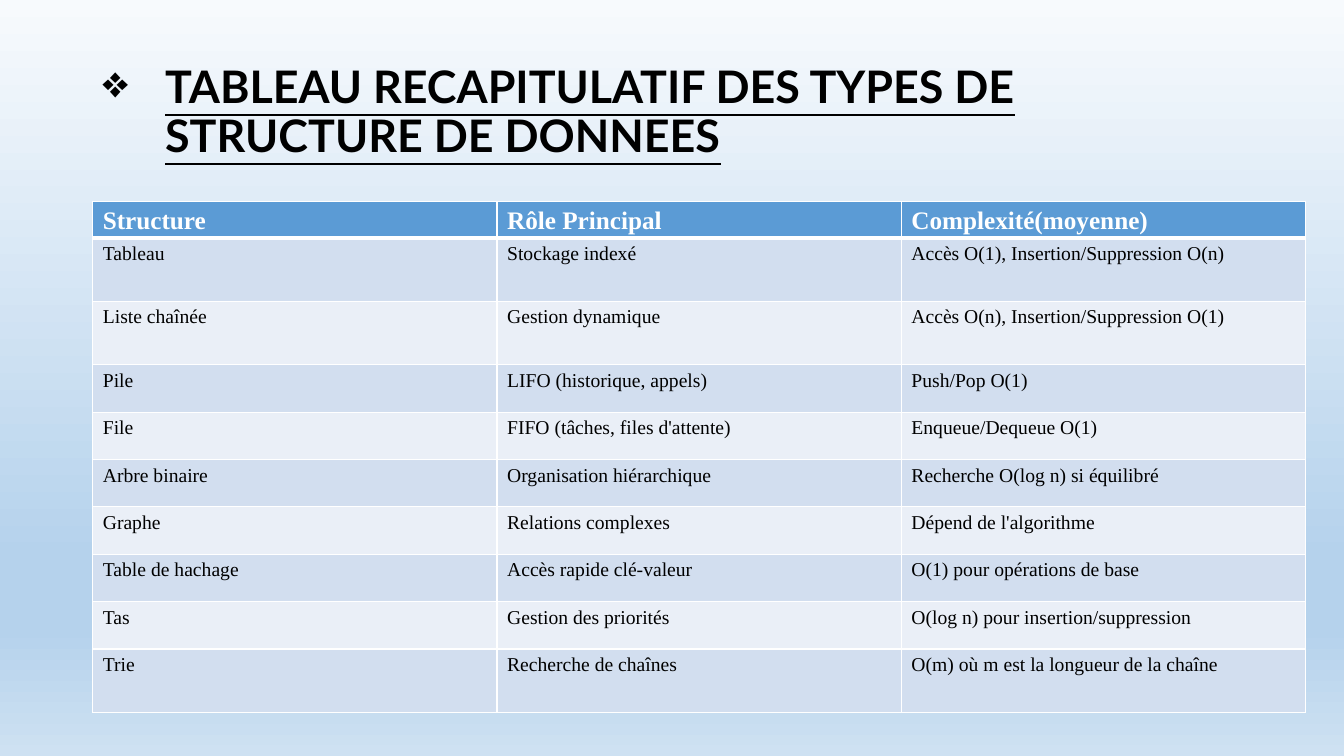
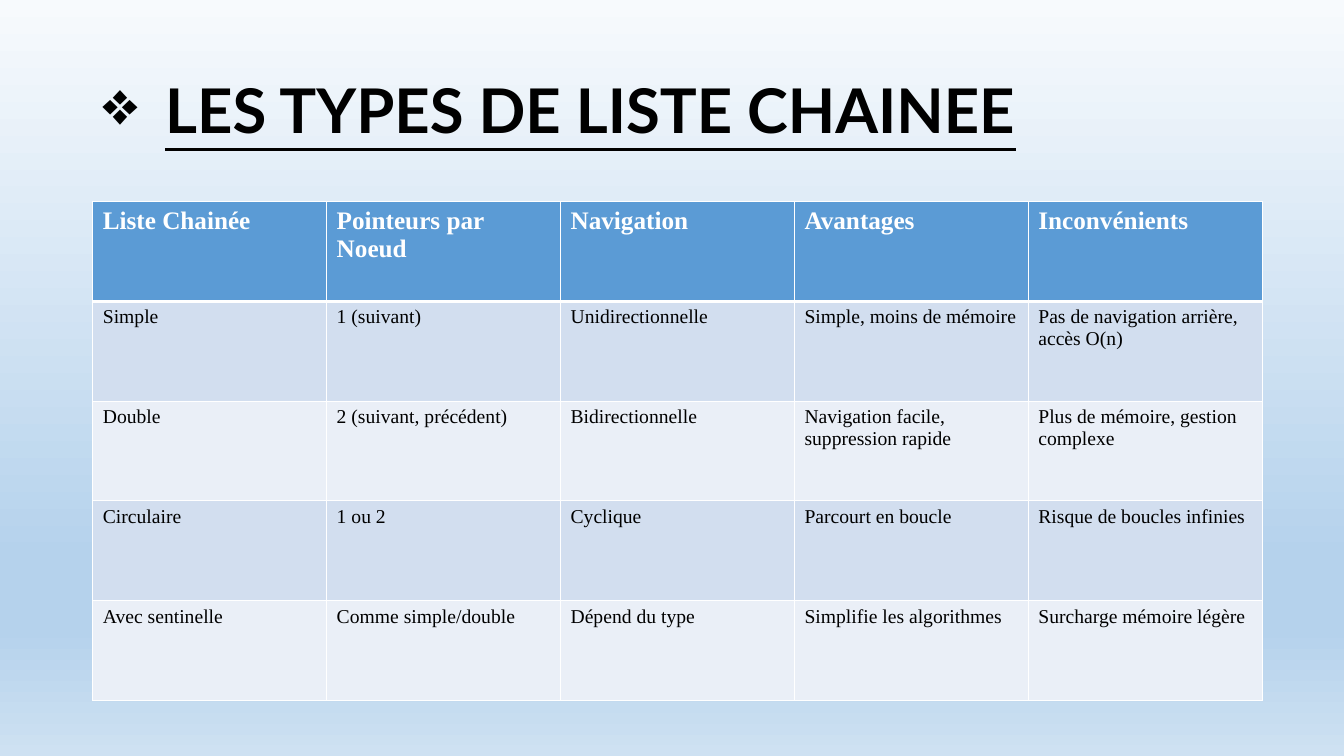
from dataclasses import dataclass

from lxml import etree
from pptx import Presentation
from pptx.dml.color import RGBColor
from pptx.enum.text import MSO_ANCHOR
from pptx.oxml.ns import qn
from pptx.util import Inches, Pt

MIDDLE = MSO_ANCHOR.MIDDLE
BLANK_LAYOUT = 6


@dataclass(frozen=True)
class Theme:
    background: tuple = ((0, "F7FAFD"), (74, "B5D2EC"), (83, "B5D2EC"), (100, "CEE1F2"))
    header_fill: str = "5B9BD5"
    row_fills: tuple = ("D2DEEF", "EAEFF7")
    border: str = "FFFFFF"
    header_text: str = "FFFFFF"
    text: str = "000000"
    title_font: str = "Lato"
    table_font: str = "Times New Roman"
    header_size: int = 18
    body_size: int = 14
    thin: int = 1
    thick: int = 3


THEME = Theme()
WIDTH, HEIGHT = 13.33, 7.5
LEFT, TITLE_TOP, TABLE_TOP = 0.92, 0.4, 2
TITLE_WIDTH, TITLE_HEIGHT = 11.5, 1.45
BULLET_INDENT = 0.62
TALL, SHORT = 0.63, 0.47

SLIDES = [
    {
        "title": "TABLEAU RECAPITULATIF DES TYPES DE STRUCTURE DE DONNEES",
        "title_size": 32,
        "table_width": 12.03,
        "row_heights": [0.36] + [TALL] * 2 + [SHORT] * 6 + [TALL],
        "rows": [
            ("Structure", "Rôle Principal", "Complexité(moyenne)"),
            ("Tableau", "Stockage indexé", "Accès O(1), Insertion/Suppression O(n)"),
            ("Liste chaînée", "Gestion dynamique", "Accès O(n), Insertion/Suppression O(1)"),
            ("Pile", "LIFO (historique, appels)", "Push/Pop O(1)"),
            ("File", "FIFO (tâches, files d'attente)", "Enqueue/Dequeue O(1)"),
            ("Arbre binaire", "Organisation hiérarchique", "Recherche O(log n) si équilibré"),
            ("Graphe", "Relations complexes", "Dépend de l'algorithme"),
            ("Table de hachage", "Accès rapide clé-valeur", "O(1) pour opérations de base"),
            ("Tas", "Gestion des priorités", "O(log n) pour insertion/suppression"),
            ("Trie", "Recherche de chaînes", "O(m) où m est la longueur de la chaîne"),
        ],
    },
    {
        "title": "LES TYPES DE LISTE CHAINEE",
        "title_size": 44,
        "table_width": 11.6,
        "row_heights": [0.99] * 5,
        "rows": [
            ("Liste Chainée", "Pointeurs par Noeud", "Navigation", "Avantages", "Inconvénients"),
            ("Simple", "1 (suivant)", "Unidirectionnelle", "Simple, moins de mémoire",
             "Pas de navigation arrière, accès O(n)"),
            ("Double", "2 (suivant, précédent)", "Bidirectionnelle",
             "Navigation facile, suppression rapide", "Plus de mémoire, gestion complexe"),
            ("Circulaire", "1 ou 2", "Cyclique", "Parcourt en boucle", "Risque de boucles infinies"),
            ("Avec sentinelle", "Comme simple/double", "Dépend du type",
             "Simplifie les algorithmes", "Surcharge mémoire légère"),
        ],
    },
]


def add_run(paragraph, text, font_name, size, color, bold):
    run = paragraph.add_run()
    run.text = text
    run.font.name = font_name
    run.font.size = Pt(size)
    run.font.bold = bold
    run.font.color.rgb = RGBColor.from_string(color)
    return run


def add_color(parent, color):
    etree.SubElement(parent, qn("a:srgbClr"), val=color)


presentation = Presentation()
presentation.slide_width, presentation.slide_height = Inches(WIDTH), Inches(HEIGHT)

# Gradient shared by every slide, from top to bottom
master = presentation.slide_master
background = master.background.fill
background.gradient()
background.gradient_angle = 270
stops = master.element.find(".//" + qn("a:gsLst"))
for stop in list(stops):
    stops.remove(stop)
for percent, color in THEME.background:
    add_color(etree.SubElement(stops, qn("a:gs"), pos=str(percent * 1000)), color)

for content in SLIDES:
    slide = presentation.slides.add_slide(presentation.slide_layouts[BLANK_LAYOUT])

    # Title with a hanging bullet
    title = slide.shapes.add_textbox(
        Inches(LEFT), Inches(TITLE_TOP), Inches(TITLE_WIDTH), Inches(TITLE_HEIGHT))
    title.text_frame.word_wrap = True
    title.text_frame.vertical_anchor = MIDDLE
    paragraph = title.text_frame.paragraphs[0]
    paragraph.line_spacing = 0.9
    run = add_run(paragraph, content["title"], THEME.title_font, content["title_size"],
                  THEME.text, True)
    run.font.underline = True
    properties = paragraph._p.get_or_add_pPr()
    properties.set("marL", str(Inches(BULLET_INDENT)))
    properties.set("indent", str(-Inches(BULLET_INDENT)))
    etree.SubElement(properties, qn("a:buChar"), char="❖")

    # Table with equal columns
    rows, row_heights = content["rows"], content["row_heights"]
    column_count = len(rows[0])
    table = slide.shapes.add_table(
        len(rows), column_count, Inches(LEFT), Inches(TABLE_TOP),
        Inches(content["table_width"]), Inches(sum(row_heights))).table
    for column in table.columns:
        column.width = Inches(content["table_width"] / column_count)

    for row_index, (texts, row_height) in enumerate(zip(rows, row_heights)):
        table.rows[row_index].height = Inches(row_height)
        is_header = row_index == 0
        if is_header:
            fill, color, size = THEME.header_fill, THEME.header_text, THEME.header_size
        else:
            fill = THEME.row_fills[(row_index - 1) % 2]
            color, size = THEME.text, THEME.body_size
        borders = {
            "a:lnL": THEME.thin,
            "a:lnR": THEME.thin,
            "a:lnT": THEME.thick if row_index == 1 else THEME.thin,
            "a:lnB": THEME.thick if is_header else THEME.thin,
        }
        for column_index, text in enumerate(texts):
            cell = table.cell(row_index, column_index)
            cell.margin_bottom = 0
            add_run(cell.text_frame.paragraphs[0], text, THEME.table_font, size, color, is_header)
            cell_properties = cell._tc.get_or_add_tcPr()
            for side, width in borders.items():
                line = etree.SubElement(cell_properties, qn(side), w=str(Pt(width)))
                add_color(etree.SubElement(line, qn("a:solidFill")), THEME.border)
            cell.fill.solid()
            cell.fill.fore_color.rgb = RGBColor.from_string(fill)

presentation.save("out.pptx")
